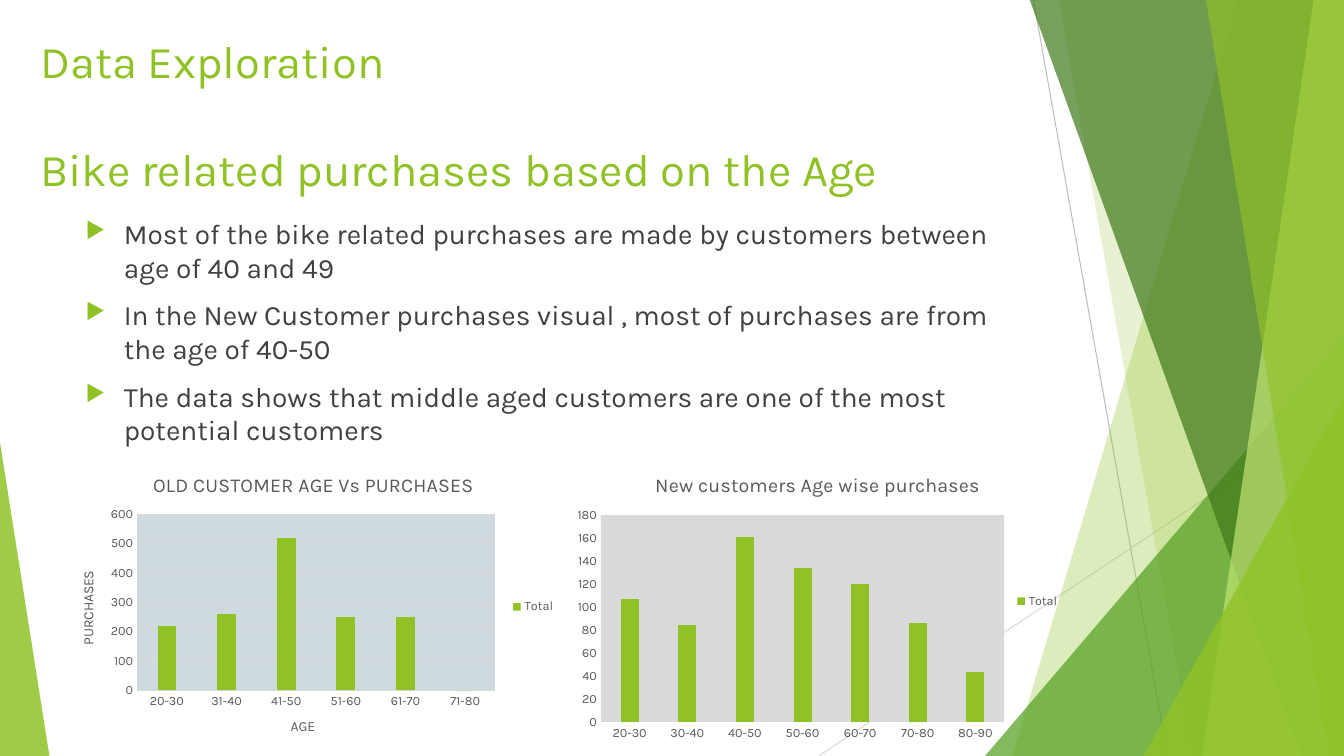
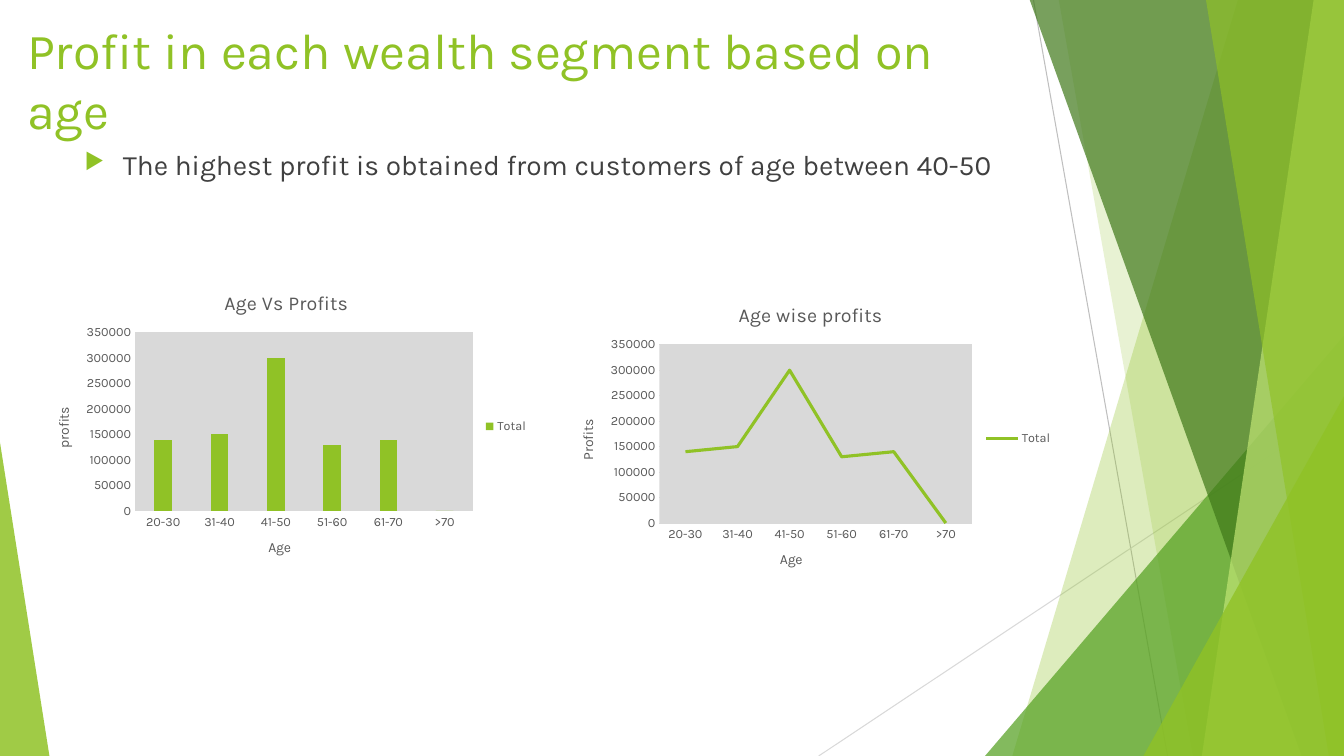
from lxml.etree import SubElement
from pptx import Presentation
from pptx.chart.data import CategoryChartData
from pptx.dml.color import RGBColor
from pptx.enum.chart import XL_CHART_TYPE as ChartType, XL_LEGEND_POSITION, XL_TICK_MARK
from pptx.enum.shapes import MSO_CONNECTOR, MSO_SHAPE
from pptx.oxml.ns import qn
from pptx.util import Inches, Pt

FONT = "Karla"
WIDTH, HEIGHT = 13.33, 7.5
BLEED = -0.01
LIME = RGBColor(0x90, 0xC2, 0x26)
PALE_LIME = RGBColor(0xC0, 0xE4, 0x74)
GREEN = RGBColor(0x54, 0xA0, 0x21)
DARK_GREEN = RGBColor(0x3F, 0x78, 0x19)
BODY_TEXT = RGBColor(0x40, 0x40, 0x40)
CHART_TEXT = RGBColor(0x59, 0x59, 0x59)
MID_GRAY = RGBColor(0xBF, 0xBF, 0xBF)
LIGHT_GRAY = RGBColor(0xD9, 0xD9, 0xD9)
BLUE_GRAY = RGBColor(0xCF, 0xDA, 0xDF)

# Backdrop: (x1, y1, x2, y2, colour)
RAYS = [(10.25, 0, 11.58, HEIGHT, MID_GRAY),
        (WIDTH, 4.03, 8.12, HEIGHT, LIGHT_GRAY)]
# Bands run to the right edge: (top x, bottom x, colour, opacity %)
BACK_BANDS = [(12.28, 10.04, LIME, 30), (10.5, 11.83, LIME, 20)]
FRONT_BANDS = [(10.21, 12.91, DARK_GREEN, 70), (13.03, 11.92, PALE_LIME, 70),
               (11.96, 13.18, LIME, 65)]
# Corners stand on the bottom edge: (left, width, height, apex, colour, opacity %)
BACK_CORNER = (9.77, 3.56, 4.17, 1, GREEN, 72)
FRONT_CORNERS = [(11.34, 1.99, 3.57, 1, LIME, 80), (0, 0.49, 3.11, 0, LIME, 85)]

PROFIT_AGES = ["20-30", "31-40", "41-50", "51-60", "61-70", ">70"]
PROFITS = [140000, 150000, 300000, 130000, 140000, 0]


def style_font(font, size, color):
    font.name = FONT
    font.size = Pt(size)
    font.bold = False
    font.color.rgb = color


# Backdrop pieces
def paint(shape, color, opacity):
    shape.shadow.inherit = False
    shape.line.fill.background()
    shape.fill.solid()
    shape.fill.fore_color.rgb = color
    srgb = shape._element.spPr.find(".//" + qn("a:srgbClr"))
    SubElement(srgb, qn("a:alpha")).set("val", str(opacity * 1000))


def add_ray(page, x1, y1, x2, y2, color):
    ray = page.shapes.add_connector(
        MSO_CONNECTOR.STRAIGHT, Inches(x1), Inches(y1), Inches(x2), Inches(y2))
    ray.line.color.rgb = color
    ray.line.width = Pt(0.75)
    SubElement(ray._element.spPr, qn("a:effectLst"))


def add_band(page, top_x, bottom_x, color, opacity):
    outline = page.shapes.build_freeform(Inches(top_x), Inches(BLEED))
    corners = [(WIDTH, BLEED), (WIDTH, HEIGHT), (bottom_x, HEIGHT)]
    outline.add_line_segments([(Inches(x), Inches(y)) for x, y in corners])
    paint(outline.convert_to_shape(), color, opacity)


def add_corner(page, left, width, height, apex, color, opacity):
    corner = page.shapes.add_shape(
        MSO_SHAPE.ISOSCELES_TRIANGLE, Inches(left), Inches(HEIGHT - height),
        Inches(width), Inches(height))
    corner.adjustments[0] = apex
    paint(corner, color, opacity)


def add_backdrop(page):
    for ray in RAYS:
        add_ray(page, *ray)
    for band in BACK_BANDS:
        add_band(page, *band)
    add_corner(page, *BACK_CORNER)
    for band in FRONT_BANDS:
        add_band(page, *band)
    for corner in FRONT_CORNERS:
        add_corner(page, *corner)


# Text
def add_text(page, area, lines, size, color, gap):
    box = page.shapes.add_textbox(*map(Inches, area))
    frame = box.text_frame
    frame.word_wrap = True
    frame.text = "\n".join(lines)
    for index, para in enumerate(frame.paragraphs):
        para.space_before = Pt(gap if index else 0)
        for span in para.runs:
            style_font(span.font, size, color)
    return frame


def add_title(page, area, lines, size):
    add_text(page, area, lines, size, LIME, gap=38)


def add_bullets(page, area, lines):
    frame = add_text(page, area, lines, 20, BODY_TEXT, gap=10)
    for para in frame.paragraphs:
        props = para._p.get_or_add_pPr()
        props.set("marL", str(Inches(0.38)))
        props.set("indent", str(-Inches(0.38)))
        bullet_color = SubElement(props, qn("a:buClr"))
        SubElement(bullet_color, qn("a:srgbClr")).set("val", str(LIME))
        SubElement(props, qn("a:buSzPct")).set("val", "80000")
        SubElement(props, qn("a:buChar")).set("char", "▶")


# Charts
def set_title(owner, text, size):
    frame = (owner.chart_title if hasattr(owner, "chart_title") else owner.axis_title).text_frame
    frame.text = text
    style_font(frame.paragraphs[0].runs[0].font, size, CHART_TEXT)


def style_axis(axis, title):
    axis.major_tick_mark = axis.minor_tick_mark = XL_TICK_MARK.NONE
    style_font(axis.tick_labels.font, 9, CHART_TEXT)
    axis.has_title = bool(title)
    if title:
        set_title(axis, title, 10)


def place_plot(chart, plot_area, fill):
    """Fix the inner plot area, in fractions of the chart, and fill it."""
    area = chart._chartSpace.chart.plotArea
    layout = area.find(qn("c:layout"))
    if layout is None:
        layout = SubElement(area, qn("c:layout"))
        area.insert(0, layout)
    manual = SubElement(layout, qn("c:manualLayout"))
    settings = [("layoutTarget", "inner"), ("xMode", "edge"), ("yMode", "edge")]
    for tag, value in settings + list(zip("xywh", plot_area)):
        SubElement(manual, qn("c:" + tag)).set("val", str(value))
    solid = SubElement(SubElement(area, qn("c:spPr")), qn("a:solidFill"))
    SubElement(solid, qn("a:srgbClr")).set("val", str(fill))


def add_total_chart(page, area, title, ages, totals, top, step, plot_area,
                    kind=ChartType.COLUMN_CLUSTERED, fill=LIGHT_GRAY,
                    age_title=None, value_title=None):
    data = CategoryChartData()
    data.categories = ages
    data.add_series("Total", totals)
    chart = page.shapes.add_chart(kind, *map(Inches, area), data).chart
    style_font(chart.font, 10, CHART_TEXT)
    chart.has_title = True
    set_title(chart, title, 14)
    chart.chart_title.include_in_layout = False

    chart.has_legend = True
    chart.legend.position = XL_LEGEND_POSITION.RIGHT
    chart.legend.include_in_layout = False
    style_font(chart.legend.font, 9, CHART_TEXT)

    age_axis, value_axis = chart.category_axis, chart.value_axis
    style_axis(age_axis, age_title)
    style_axis(value_axis, value_title)
    value_axis.minimum_scale, value_axis.maximum_scale = 0, top
    value_axis.major_unit = step
    value_axis.format.line.fill.background()
    for line in (age_axis.format.line, value_axis.major_gridlines.format.line):
        line.color.rgb = LIGHT_GRAY
        line.width = Pt(0.75)

    plot = chart.plots[0]
    plot.vary_by_categories = False
    series = plot.series[0]
    if kind == ChartType.LINE:
        series.smooth = False
        series.format.line.color.rgb = LIME
        series.format.line.width = Pt(2.25)
    else:
        plot.gap_width, plot.overlap = 219, -27
        series.format.fill.solid()
        series.format.fill.fore_color.rgb = LIME
    place_plot(chart, plot_area, fill)


# Slides
def add_page(deck):
    page = deck.slides.add_slide(deck.slide_layouts[6])
    add_backdrop(page)
    return page


def add_purchases_page(deck):
    page = add_page(deck)
    add_title(page, (0.3, 0.28, 9.33, 1.47),
              ["Data Exploration", "Bike related purchases based on the Age"], 32.4)
    add_bullets(page, (0.75, 2.1, 9.33, 2.61), [
        "Most of the bike related purchases are made by customers between age of 40 and 49",
        "In the New Customer purchases visual , most of purchases are from the age of 40-50",
        "The data shows that middle aged customers are one of the most potential customers"])
    add_total_chart(
        page, (0.61, 4.54, 5, 2.96), "OLD CUSTOMER AGE Vs PURCHASES",
        ["20-30", "31-40", "41-50", "51-60", "61-70", "71-80"],
        [220, 260, 520, 250, 250, 0], 600, 100, (0.15, 0.19, 0.71, 0.59),
        fill=BLUE_GRAY, age_title="AGE", value_title="PURCHASES")
    add_total_chart(
        page, (5.61, 4.54, 5, 2.85), "New customers Age wise purchases",
        ["20-30", "30-40", "40-50", "50-60", "60-70", "70-80", "80-90"],
        [107, 84, 161, 134, 120, 86, 43], 180, 20, (0.07, 0.2, 0.8, 0.72))


def add_profits_page(deck):
    page = add_page(deck)
    add_title(page, (0.17, 0.14, 9.4, 1.44),
              ["Profit in each wealth segment based on age"], 36)
    add_bullets(page, (0.74, 1.41, 9.4, 5.16),
                ["The highest profit is obtained from customers of age between 40-50"])
    add_total_chart(
        page, (0.34, 2.73, 5, 3), "Age Vs Profits", PROFIT_AGES, PROFITS,
        350000, 50000, (0.2, 0.19, 0.67, 0.59),
        age_title="Age", value_title="profits")
    add_total_chart(
        page, (5.54, 2.85, 5, 3), "Age wise profits", PROFIT_AGES, PROFITS,
        350000, 50000, (0.2, 0.19, 0.62, 0.59), kind=ChartType.LINE,
        age_title="Age", value_title="Profits")


def main():
    deck = Presentation()
    deck.slide_width, deck.slide_height = Inches(WIDTH), Inches(HEIGHT)
    add_purchases_page(deck)
    add_profits_page(deck)
    deck.save("out.pptx")


if __name__ == "__main__":
    main()
